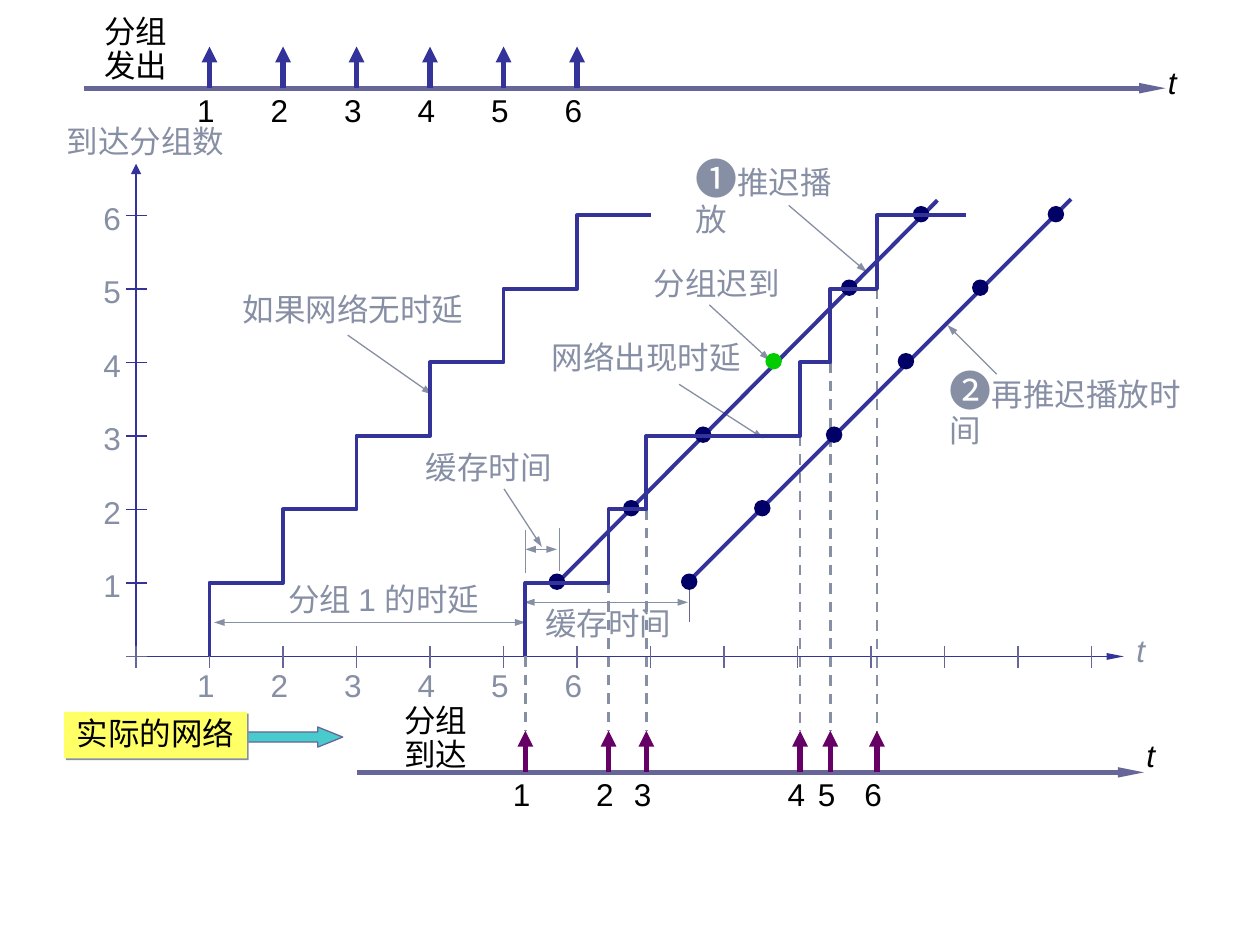
from lxml import etree
from pptx import Presentation
from pptx.dml.color import RGBColor
from pptx.enum.dml import MSO_LINE_DASH_STYLE as Dash
from pptx.enum.shapes import MSO_CONNECTOR as Connector, MSO_SHAPE as Shape
from pptx.enum.text import MSO_ANCHOR as Anchor, PP_ALIGN as Align
from pptx.oxml.ns import qn
from pptx.util import Inches, Pt

COLORS = {"grey": "878FA5", "navy": "333399", "slate": "666699", "dot": "000066",
          "late": "00CC00", "purple": "660066", "black": "000000",
          "yellow": "FFFF66", "teal": "49CACD"}

# Content: the chart has one unit per packet on both axes
UNIT = 7 / 12
ORIGIN_X, ORIGIN_Y = 1.08, 5.21
PACKETS = range(1, 7)
SENT = [ORIGIN_X + n * UNIT for n in PACKETS]
ARRIVED = [4.17, 4.83, 5.13, 6.35, 6.59, 6.96]
SEND_Y, ARRIVE_Y, STEM = 0.7, 6.13, 0.33

# text, left, top, width, height, colour
CAPTIONS = [
    ("分组\n发出", 0.73, 0.08, 0.7, 0.64, "black"),
    ("分组\n到达", 3.11, 5.55, 0.7, 0.64, "black"),
    ("到达分组数", 0.43, 0.95, 1.45, 0.37, "grey"),
    ("缓存时间", 3.28, 3.54, 1.2, 0.37, "grey"),
    ("缓存时间", 4.23, 4.78, 1.2, 0.37, "grey"),
    ("如果网络无时延", 1.83, 2.29, 1.95, 0.37, "grey"),
    ("分组迟到", 5.09, 2.08, 1.2, 0.37, "grey"),
    ("网络出现时延", 4.28, 2.67, 1.7, 0.37, "grey"),
    ("分组 1 的时延", 2.19, 4.59, 2, 0.37, "grey"),
]
# marker, text, left, top, width
PLAYBACK_NOTES = [("❶", "推迟播放", 5.42, 1.21, 1.5),
                  ("❷", "再推迟播放时间", 7.44, 2.89, 2.25)]
AXIS_NAMES = [(9.17, 0.45, "black"), (8.92, 4.96, "grey"), (9, 5.79, "black")]
POINTERS = [(4, 3.88, 4.3, 4.34), (7.91, 2.97, 7.52, 2.58), (2.76, 2.66, 3.43, 3.13),
            (6.26, 1.63, 6.88, 2.16), (5.63, 2.42, 6.11, 2.86), (5.39, 3.05, 6.06, 3.48)]
SPANS = [(4.17, 4.36, 4.42, 4.36), (4.16, 4.78, 5.46, 4.78), (1.7, 4.94, 4.17, 4.94)]
SPAN_ENDS = [(4.17, 4.21, 4.55, "grey"), (4.44, 4.19, 4.53, "grey"),
             (5.47, 4.61, 4.94, "slate")]
# line ends, then the x of each packet's dot, then the packet that is late
PLAYBACKS = [((4.42, 4.63, 7.44, 1.59), [4.42, 5.01, 5.58, 6.14, 6.74, 7.31], 4),
             ((5.46, 4.62, 8.5, 1.58), [5.47, 6.05, 6.62, 7.19, 7.78, 8.38], None)]

prs = Presentation()
prs.slide_width, prs.slide_height = Inches(10), Inches(7.5)
slide = prs.slides.add_slide(prs.slide_layouts[6])
shapes = slide.shapes


def rgb(name):
    return RGBColor.from_string(COLORS[name])


def level(packet):
    return ORIGIN_Y - packet * UNIT


def write(frame, text, color="grey", size=18, marker="", italic=False,
          align=Align.LEFT, spacing=0.9, wrap=False):
    frame.word_wrap = wrap
    frame.vertical_anchor = Anchor.TOP
    for i, row in enumerate(text.split("\n")):
        paragraph = frame.paragraphs[0] if i == 0 else frame.add_paragraph()
        paragraph.alignment, paragraph.line_spacing = align, spacing
        for part, points in ((marker, 24), (row, size)):
            if part:
                run = paragraph.add_run()
                run.text = part
                run.font.name, run.font.size = "Arial", Pt(points)
                run.font.italic = italic
                run.font.color.rgb = rgb(color)


def label(text, left, top, width, height, **style):
    box = shapes.add_textbox(*map(Inches, (left, top, width, height)))
    write(box.text_frame, text, **style)


def line(x1, y1, x2, y2, color="grey", width=0.75, heads=(), head=("sm", "med"), dash=None):
    """heads names the ends with an arrowhead; head is its width and length."""
    connector = shapes.add_connector(Connector.STRAIGHT, *map(Inches, (x1, y1, x2, y2)))
    connector.line.color.rgb, connector.line.width = rgb(color), Pt(width)
    if dash:
        connector.line.dash_style = dash
    for end in heads:
        etree.SubElement(connector.line._get_or_add_ln(), qn(f"a:{end}"),
                         type="triangle", w=head[0], len=head[1])
    etree.SubElement(connector._element.spPr, qn("a:effectLst"))


def solid(kind, left, top, width, height, fill, border=None):
    shape = shapes.add_shape(kind, *map(Inches, (left, top, width, height)))
    shape.shadow.inherit = False
    shape.fill.solid()
    shape.fill.fore_color.rgb = rgb(fill)
    if border:
        shape.line.color.rgb, shape.line.width = rgb(border), Pt(0.75)
    else:
        shape.line.fill.background()
    return shape


def staircase(times, end):
    corners = []
    for packet, x in enumerate(times, 1):
        corners += [(x, level(packet - 1)), (x, level(packet))]
    corners.append((end, level(len(times))))
    points = [(Inches(x), Inches(y)) for x, y in corners]
    builder = shapes.build_freeform(*points[0])
    builder.add_line_segments(points[1:], close=False)
    steps = builder.convert_to_shape()
    steps.shadow.inherit = False
    steps.fill.background()
    steps.line.color.rgb, steps.line.width = rgb("navy"), Pt(2.25)


def number(packet, x, y, color):
    label(str(packet), x - 0.17, y, 0.34, 0.4, color=color, align=Align.CENTER, spacing=1)


def timeline(start, end, y, times, color):
    line(start, y, end, y, "slate", 3, ["tailEnd"], ("sm", "lg"))
    for packet, x in enumerate(times, 1):
        line(x, y, x, y - STEM, color, 3, ["tailEnd"], ("med", "med"))
        number(packet, x - 0.03, y - 0.03, "black")


# Sending timeline
timeline(0.67, 9.25, SEND_Y, SENT, "navy")

# Chart axes, ticks and numbers
line(ORIGIN_X, 1.3, ORIGIN_X, ORIGIN_Y, "navy", heads=["headEnd"], head=("med", "med"))
line(ORIGIN_X, ORIGIN_Y, 8.92, ORIGIN_Y, "navy", heads=["tailEnd"], head=("sm", "lg"))
for n in range(14):
    x = ORIGIN_X + n * UNIT
    line(x, ORIGIN_Y - 0.08, x, ORIGIN_Y + 0.09, "slate")
for n in range(7):
    line(1, level(n), 1.17, level(n), "navy" if n else "slate")
for n in PACKETS:
    number(n, 0.89, level(n) - 0.18, "grey")
    number(n, SENT[n - 1] - 0.03, 5.24, "grey")

# Drop lines from the arrival steps
for before, x in enumerate(ARRIVED):
    line(x, level(before), x, 5.8, width=1.5, dash=Dash.DASH)

# Buffering spans and pointers
for span in SPANS:
    line(*span, heads=["headEnd", "tailEnd"])
for x, top, bottom, color in SPAN_ENDS:
    line(x, top, x, bottom, color)
for pointer in POINTERS:
    line(*pointer, heads=["tailEnd"])

# Playback lines with a dot for each packet
for ends, dots, late in PLAYBACKS:
    line(*ends, "navy", 2.25)
    for packet, x in enumerate(dots, 1):
        color = "late" if packet == late else "dot"
        solid(Shape.OVAL, x - 0.06, level(packet) - 0.07, 0.12, 0.12, color, color)

# Arrivals without and with network delay
staircase(SENT, SENT[-1] + UNIT)
staircase(ARRIVED, 7.67)

# Arrival timeline
timeline(2.83, 9.08, ARRIVE_Y, ARRIVED, "purple")

# Real network tag and its arrow
arrow = solid(Shape.RIGHT_ARROW, 1.93, 5.77, 0.79, 0.16, "teal", "slate")
arrow.adjustments[0], arrow.adjustments[1] = 0.5, 1.24
tag = solid(Shape.RECTANGLE, 0.51, 5.65, 1.45, 0.37, "yellow")
write(tag.text_frame, "实际的网络", color="black")
shadow = etree.SubElement(tag._element.spPr.find(qn("a:effectLst")), qn("a:outerShdw"),
                          dist=str(Pt(1.4)), dir="2700000", algn="ctr", rotWithShape="0")
etree.SubElement(shadow, qn("a:srgbClr"), val=COLORS["grey"])

# Captions, playback notes and axis names
for text, left, top, width, height, color in CAPTIONS:
    label(text, left, top, width, height, color=color)
for marker, text, left, top, width in PLAYBACK_NOTES:
    label(text, left, top, width, 0.46, marker=marker, wrap=True)
for left, top, color in AXIS_NAMES:
    label("t", left, top, 0.27, 0.4, color=color, italic=True, spacing=1)

prs.save("out.pptx")
